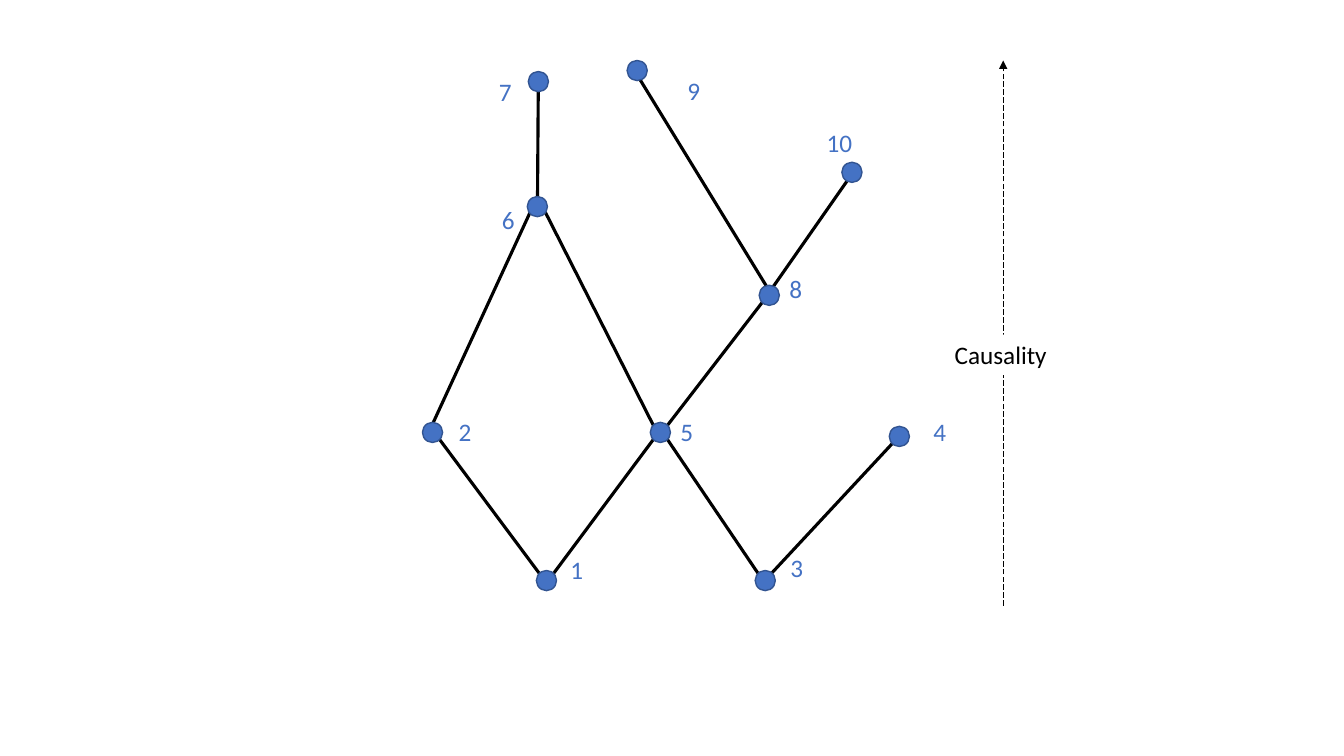
import pptx
import pptx.util
import pptx.dml.color
import pptx.enum.dml
import pptx.enum.shapes
import pptx.enum.text
import pptx.oxml
import pptx.oxml.ns
from pptx.util import Inches

BLUE = pptx.dml.color.RGBColor(0x44, 0x72, 0xC4)
NAVY = pptx.dml.color.RGBColor(0x32, 0x54, 0x91)
BLACK = pptx.dml.color.RGBColor(0, 0, 0)
WHITE = pptx.dml.color.RGBColor(255, 255, 255)
SIZE = 0.2  # node diameter

deck = pptx.Presentation()
deck.slide_width = Inches(13.33)
deck.slide_height = Inches(7.5)
slide = deck.slides.add_slide(deck.slide_layouts[6])
shapes = slide.shapes


def add_line(start, end, width):
    line = shapes.add_connector(
        pptx.enum.shapes.MSO_CONNECTOR.STRAIGHT,
        *[Inches(v) for v in start + end])
    line.line.color.rgb = BLACK
    line.line.width = pptx.util.Pt(width)
    props = line._element.spPr
    props.append(pptx.oxml.parse_xml(
        "<a:effectLst %s/>" % pptx.oxml.ns.nsdecls("a")))
    return line


def set_text(shape, text, color):
    frame = shape.text_frame
    frame.word_wrap = True
    frame.auto_size = pptx.enum.text.MSO_AUTO_SIZE.SHAPE_TO_FIT_TEXT
    frame.text = text
    para = frame.paragraphs[0]
    para.alignment = pptx.enum.text.PP_ALIGN.LEFT
    para.font.name = "Calibri"
    para.font.size = pptx.util.Pt(18)
    para.font.color.rgb = color


# Edges of the graph, ending at the rims of the nodes
edges = [
    ((4.22, 4.36), (5.33, 1.95)),  # 2 to 6
    ((6.48, 4.22), (5.33, 1.95)),  # 5 to 6
    ((5.33, 2.14), (5.34, 0.71)),  # 6 to 7
    ((7.7, 3), (6.25, 0.63)),      # 8 to 9
    ((7.56, 3), (8.51, 1.64)),     # 8 to 10
    ((5.35, 5.69), (4.36, 4.36)),  # 1 to 2
    ((5.49, 5.69), (6.48, 4.36)),  # 1 to 5
    ((7.65, 5.69), (8.85, 4.4)),   # 3 to 4
    ((7.52, 5.69), (6.62, 4.36)),  # 3 to 5
    ((6.62, 4.22), (7.56, 3)),     # 5 to 8
]
for start, end in edges:
    add_line(start, end, 2.25)

# Nodes: number, corner of the dot, corner and width of the label
nodes = [
    (1, (5.32, 5.66), (5.56, 5.45), 0.49),
    (2, (4.19, 4.19), (4.45, 4.08), 0.32),
    (3, (7.49, 5.66), (7.74, 5.43), 0.32),
    (4, (8.82, 4.23), (9.16, 4.08), 0.32),
    (5, (6.45, 4.19), (6.65, 4.08), 0.32),
    (6, (5.23, 1.95), (4.88, 1.98), 0.32),
    (7, (5.24, 0.71), (4.85, 0.71), 0.32),
    (8, (7.53, 2.83), (7.73, 2.66), 0.32),
    (9, (6.22, 0.6), (6.72, 0.7), 0.32),
    (10, (8.35, 1.61), (8.1, 1.21), 0.48),
]
for number, spot, corner, width in nodes:
    dot = shapes.add_shape(
        pptx.enum.shapes.MSO_SHAPE.OVAL,
        Inches(spot[0]), Inches(spot[1]), Inches(SIZE), Inches(SIZE))
    dot.shadow.inherit = False
    dot.fill.solid()
    dot.fill.fore_color.rgb = BLUE
    dot.line.color.rgb = NAVY
    dot.line.width = pptx.util.Pt(1)
    label = shapes.add_textbox(
        Inches(corner[0]), Inches(corner[1]), Inches(width), Inches(0.4))
    set_text(label, str(number), BLUE)

# Causality arrow with its caption
arrow = add_line((9.95, 6.01), (9.95, 0.6), 0.5)
arrow.line.dash_style = pptx.enum.dml.MSO_LINE.LONG_DASH
arrow.line._get_or_add_ln().append(pptx.oxml.parse_xml(
    '<a:tailEnd %s type="triangle"/>' % pptx.oxml.ns.nsdecls("a")))
title = shapes.add_textbox(
    Inches(9.37), Inches(3.32), Inches(1.23), Inches(0.4))
title.fill.solid()
title.fill.fore_color.rgb = WHITE
set_text(title, "Causality", BLACK)

deck.save("out.pptx")
